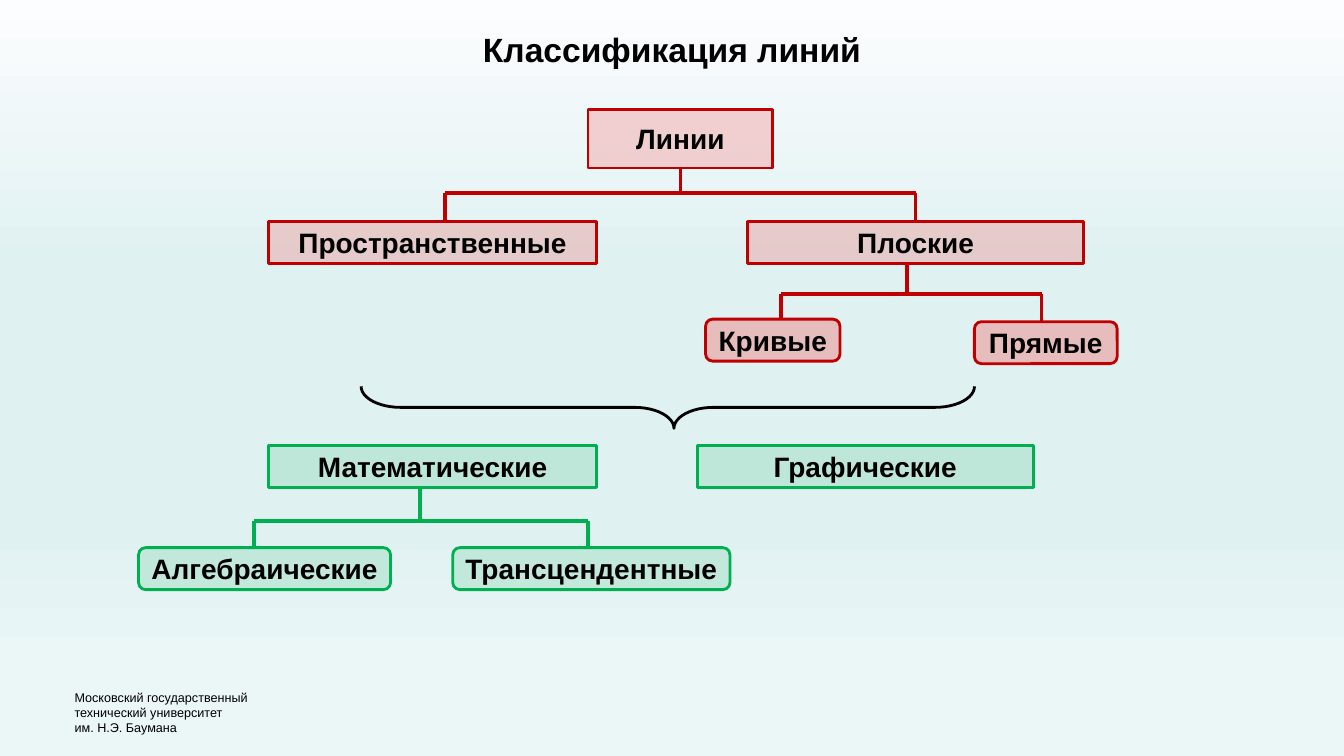
"""Build a slide that classifies lines as two-level trees joined by a brace."""
from dataclasses import dataclass
from typing import Optional

from lxml.etree import SubElement
from pptx import Presentation
from pptx.dml.color import RGBColor
from pptx.enum.shapes import MSO_CONNECTOR as Connector, MSO_SHAPE as Preset
from pptx.enum.text import MSO_ANCHOR as Anchor, PP_ALIGN as Align
from pptx.oxml.ns import qn
from pptx.util import Inches, Pt

COLUMNS, ROWS = 160, 90
SLIDE_WIDTH, SLIDE_HEIGHT = Inches(13.33), Inches(7.5)
FONT = "Arial"
TOP, BOTTOM = 0, 2

BLACK = RGBColor(0x00, 0x00, 0x00)
RED = RGBColor(0xFF, 0x00, 0x00)
DARK_RED = RGBColor(0xC0, 0x00, 0x00)
GREEN = RGBColor(0x00, 0xB0, 0x50)
WHITE_TINT = RGBColor(0xFC, 0xFD, 0xFE)
MINT = RGBColor(0xE0, 0xF1, 0xF2)
PALE_MINT = RGBColor(0xEB, 0xF6, 0xF7)
BACKGROUND = [(0, WHITE_TINT), (35, MINT), (67, MINT), (69, MINT), (88, PALE_MINT), (100, PALE_MINT)]


@dataclass(frozen=True)
class Node:
    """A labelled box on the grid."""
    label: str
    column: float
    row: float
    columns: float
    fill: RGBColor
    line: RGBColor
    opacity: int
    rows: float = 5
    preset: Preset = Preset.RECTANGLE

    @property
    def middle(self) -> float:
        """Return the column of the box's centre."""
        return self.column + self.columns / 2


@dataclass(frozen=True)
class Tree:
    """A trunk below a parent that splits at a bar into drops to children."""
    parent: str
    trunk: float
    start: float
    bar: float
    drops: dict[str, float]


NODES = [
    Node("Линии", 70, 13, 22, RED, DARK_RED, 16, rows=7),
    Node("Пространственные", 32, 26.4, 39, RED, DARK_RED, 16),
    Node("Плоские", 89, 26.4, 40, RED, DARK_RED, 16),
    Node("Кривые", 84, 38, 16, RED, DARK_RED, 22, preset=Preset.ROUNDED_RECTANGLE),
    Node("Прямые", 116, 38.3, 17, RED, DARK_RED, 22, preset=Preset.ROUNDED_RECTANGLE),
    Node("Математические", 32, 53, 39, GREEN, GREEN, 15),
    Node("Графические", 83, 53, 40, GREEN, GREEN, 15),
    Node("Алгебраические", 16.5, 65.2, 30, GREEN, GREEN, 15, preset=Preset.ROUNDED_RECTANGLE),
    Node("Трансцендентные", 53.9, 65.2, 33, GREEN, GREEN, 15, preset=Preset.ROUNDED_RECTANGLE),
]
TREES = [
    Tree("Линии", 81, 20, 23, {"Пространственные": 53, "Плоские": 109}),
    Tree("Плоские", 108, 31.2, 35, {"Кривые": 93, "Прямые": 124}),
    Tree("Математические", 50, 58, 62, {"Алгебраические": 30.25, "Трансцендентные": 70}),
]
FOOTER = ["Московский государственный", "технический университет", "им. Н.Э. Баумана"]


def across(columns: float) -> int:
    """Convert grid columns to a length."""
    return round(SLIDE_WIDTH * columns / COLUMNS)


def down(rows: float) -> int:
    """Convert grid rows to a length."""
    return round(SLIDE_HEIGHT * rows / ROWS)


def area(column: float, row: float, columns: float, rows: float) -> tuple[int, int, int, int]:
    """Convert a grid area to left, top, width and height."""
    return across(column), down(row), across(columns), down(rows)


def paint_background(slide) -> None:
    """Fill the slide with a gradient from top to bottom."""
    fill = slide.background.fill
    fill.gradient()
    fill.gradient_angle = 270
    stops = slide.element.find(".//" + qn("a:gsLst"))
    for stop in list(stops):
        stops.remove(stop)
    for percent, color in BACKGROUND:
        stop = SubElement(stops, qn("a:gs"), pos=str(percent * 1000))
        SubElement(stop, qn("a:srgbClr"), val=str(color))


def write(frame, lines: list[str], size: float, bold: bool, align: Align, wrap: bool) -> None:
    """Write one paragraph per line of text."""
    frame.word_wrap = wrap
    for index, line in enumerate(lines):
        paragraph = frame.add_paragraph() if index else frame.paragraphs[0]
        paragraph.alignment = align
        run = paragraph.add_run()
        run.text = line
        run.font.name, run.font.size, run.font.bold = FONT, Pt(size), bold
        run.font.color.rgb = BLACK


def draw_node(slide, node: Node):
    """Draw a translucent box with a centred label."""
    shape = slide.shapes.add_shape(node.preset, *area(node.column, node.row, node.columns, node.rows))
    shape.shadow.inherit = False
    shape.fill.solid()
    shape.fill.fore_color.rgb = node.fill
    color = shape.element.spPr.find(qn("a:solidFill"))[0]
    SubElement(color, qn("a:alpha"), val=str(node.opacity * 1000))
    shape.line.color.rgb, shape.line.width = node.line, Pt(2)
    shape.text_frame.vertical_anchor = Anchor.MIDDLE
    write(shape.text_frame, [node.label], 20, True, Align.CENTER, False)
    return shape


def draw_line(slide, start: tuple[float, float], end: tuple[float, float], color: RGBColor):
    """Draw a straight connector between two grid points."""
    (column, row), (end_column, end_row) = start, end
    connector = slide.shapes.add_connector(
        Connector.STRAIGHT, across(column), down(row), across(end_column), down(end_row))
    connector.line.color.rgb, connector.line.width = color, Pt(2.5)
    SubElement(connector.element.spPr, qn("a:effectLst"))
    return connector


def draw_tree(slide, tree: Tree, nodes: dict[str, Node], shapes: dict) -> None:
    """Draw a tree's lines and join those that meet the middle of a side."""
    parent = nodes[tree.parent]
    fork = (tree.trunk, tree.bar)
    trunk = draw_line(slide, (tree.trunk, tree.start), fork, parent.line)
    if tree.trunk == parent.middle:
        trunk.begin_connect(shapes[tree.parent], BOTTOM)
    for label, column in tree.drops.items():
        child = nodes[label]
        draw_line(slide, fork, (column, tree.bar), parent.line)
        drop = draw_line(slide, (column, tree.bar), (column, child.row), parent.line)
        if column == child.middle:
            drop.end_connect(shapes[label], TOP)


def draw_brace(slide) -> None:
    """Draw the brace that gathers the upper trees."""
    brace = slide.shapes.add_shape(Preset.RIGHT_BRACE, *area(77, 12, 5, 73))
    brace.rotation = 90
    brace.adjustments[0], brace.adjustments[1] = 0.94, 0.49
    brace.shadow.inherit = False
    brace.fill.background()
    brace.line.color.rgb, brace.line.width = BLACK, Pt(2)


def draw_text(slide, box: tuple[int, int, int, int], lines: list[str], size: float,
              bold: bool = False, align: Optional[Align] = None, wrap: bool = False) -> None:
    """Draw a text box."""
    write(slide.shapes.add_textbox(*box).text_frame, lines, size, bold, align, wrap)


def main() -> None:
    """Build and save the presentation."""
    presentation = Presentation()
    presentation.slide_width, presentation.slide_height = SLIDE_WIDTH, SLIDE_HEIGHT
    slide = presentation.slides.add_slide(presentation.slide_layouts[6])
    paint_background(slide)
    draw_text(slide, area(42.2, 2.9, 75.6, 6.1), ["Классификация линий"], 24, True, Align.CENTER, True)
    nodes = {node.label: node for node in NODES}
    shapes = {label: draw_node(slide, node) for label, node in nodes.items()}
    for tree in TREES:
        draw_tree(slide, tree, nodes, shapes)
    draw_brace(slide)
    draw_text(slide, area(7.7, 81.5, 23.8, 6.6), FOOTER, 9, align=Align.LEFT)
    presentation.save("out.pptx")


if __name__ == "__main__":
    main()
